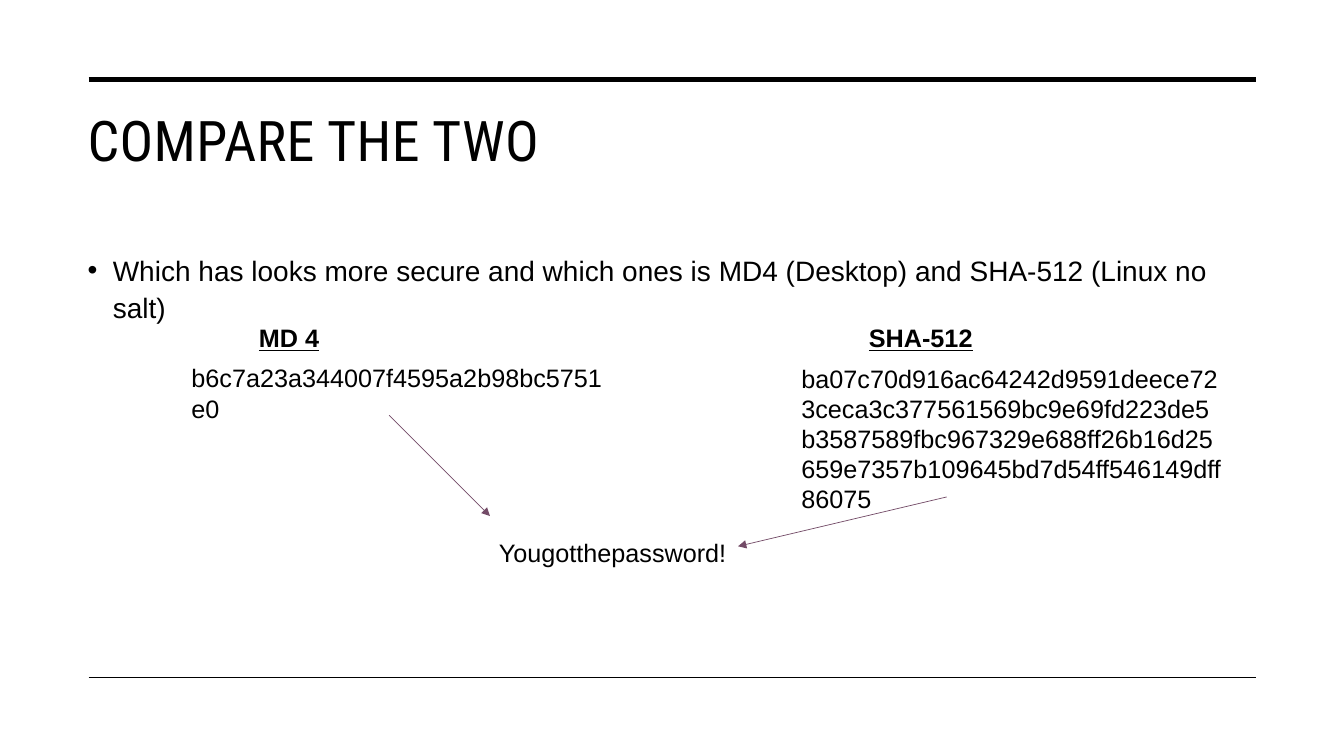
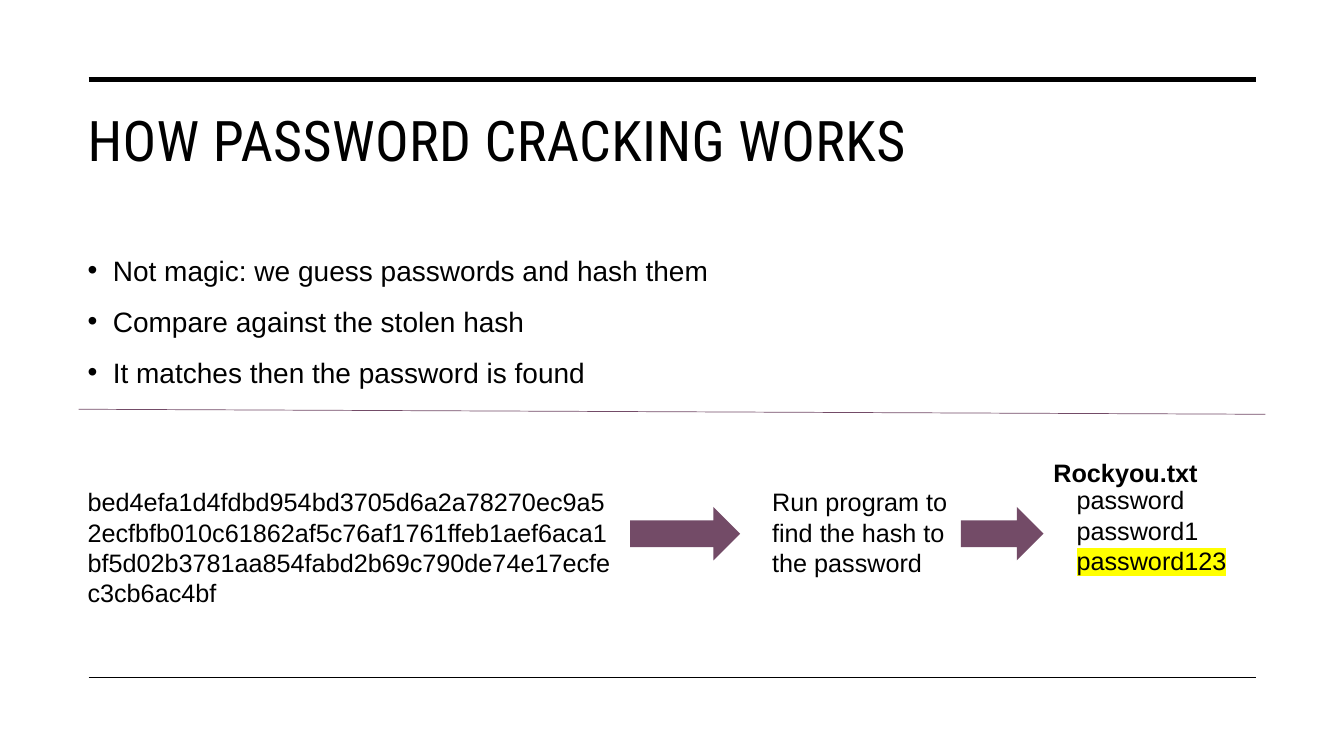
"""Build two slides on password hashes and how they are cracked."""
from collections import namedtuple
from dataclasses import dataclass

from lxml import etree
from pptx import Presentation
from pptx.dml.color import RGBColor
from pptx.enum import shapes, text
from pptx.oxml import ns
from pptx.util import Inches, Pt

Box = namedtuple("Box", "left top width height")


@dataclass(frozen=True)
class Theme:
    """Colours, fonts and type sizes of the deck."""
    ink: str = "000000"
    accent: str = "734B67"
    marker: str = "FFFF00"
    title_font: str = "Roboto Condensed"
    body_font: str = "Arial"
    title_size: int = 40
    bullet_size: int = 20
    text_size: int = 18


THEME = Theme()
TITLE_BOX = Box(0.77, 1, 11.69, 1.43)


def add_child(parent, tag, **attributes):
    """Append a DrawingML element to a parent element."""
    return etree.SubElement(parent, ns.qn(tag), **attributes)


def add_text(page, box, content, size=THEME.text_size, font=THEME.body_font,
             bold=False, underline=False, spacing=None, bullets=False, marked=None):
    """Write each line of content as a paragraph in a text box."""
    frame = page.shapes.add_textbox(*map(Inches, box)).text_frame
    frame.word_wrap = True
    frame.vertical_anchor = text.MSO_ANCHOR.TOP
    for index, line in enumerate(content.split("\n")):
        para = frame.add_paragraph() if index else frame.paragraphs[0]
        if bullets:
            para.line_spacing = 1.1
            if index:
                para.space_before = Pt(10)
            properties = para._p.get_or_add_pPr()
            properties.set("marL", str(Inches(0.25)))
            properties.set("indent", str(Inches(-0.25)))
            add_child(properties, "a:buFont", typeface=THEME.body_font)
            add_child(properties, "a:buChar", char="•")
        span = para.add_run()
        span.text = line
        span.font.size = Pt(size)
        span.font.bold = bold
        span.font.underline = underline
        span.font.color.rgb = RGBColor.from_string(THEME.ink)
        if line == marked:
            highlight = add_child(span.font._element, "a:highlight")
            add_child(highlight, "a:srgbClr", val=THEME.marker)
        if spacing:
            span.font._element.set("spc", str(round(spacing * 100)))
        span.font.name = font


def add_line(page, start, end, color=THEME.accent, weight=0.5, arrow=False):
    """Draw a straight line, with an arrowhead at its end if asked."""
    line = page.shapes.add_connector(
        shapes.MSO_CONNECTOR.STRAIGHT, *map(Inches, (*start, *end)))
    line.line.color.rgb = RGBColor.from_string(color)
    line.line.width = Pt(weight)
    if arrow:
        add_child(line.line._get_or_add_ln(), "a:tailEnd", type="triangle")
    add_child(line._element.spPr, "a:effectLst")


def add_block_arrow(page, box):
    """Place a solid arrow that points right."""
    arrow = page.shapes.add_shape(shapes.MSO_SHAPE.RIGHT_ARROW, *map(Inches, box))
    arrow.shadow.inherit = False
    arrow.fill.solid()
    arrow.fill.fore_color.rgb = RGBColor.from_string(THEME.accent)
    arrow.line.fill.background()


def add_page(deck, title):
    """Add a blank slide with the shared rules and title."""
    page = deck.slides.add_slide(deck.slide_layouts[6])
    for top, weight in ((0.79, 3.5), (6.72, 1)):
        add_line(page, (0.88, top), (12.46, top), THEME.ink, weight)
    add_text(page, TITLE_BOX, title, size=THEME.title_size,
             font=THEME.title_font, spacing=0.3)
    return page


def add_bullets(page, height, content):
    """Write the bullet list directly below the title."""
    box = Box(TITLE_BOX.left, TITLE_BOX.top + TITLE_BOX.height, TITLE_BOX.width, height)
    add_text(page, box, content, size=THEME.bullet_size, bullets=True)


def add_hash(page, box, name, digest):
    """Place an underlined algorithm name above its hash."""
    add_text(page, Box(box.left + 0.67, box.top, 3, 0.4), name, bold=True, underline=True)
    add_text(page, Box(box.left, box.top + 0.4, box.width, box.height - 0.4), digest)


def add_comparison(page, box):
    """Show two hashes that lead to the same password."""
    left, top = box.left, box.top
    add_hash(page, Box(left, top, 4.38, 0.8), "MD 4",
             "b6c7a23a344007f4595a2b98bc5751e0")
    add_hash(page, Box(left + box.width - 4.36, top, 4.36, 1.71), "SHA-512",
             "ba07c70d916ac64242d9591deece723ceca3c377561569bc9e69fd223de5"
             "b3587589fbc967329e688ff26b16d25659e7357b109645bd7d54ff546149dff86075")
    add_line(page, (left + 2.06, top + 0.97), (left + 3.06, top + 1.97), arrow=True)
    add_line(page, (left + 7.59, top + 1.78), (left + 5.52, top + 2.27), arrow=True)
    add_text(page, Box(left + 3.05, top + box.height - 0.4, 3, 0.4), "Yougotthepassword!")


def add_cracking_flow(page, box):
    """Show the steps from stolen hash to word list."""
    left, top = box.left, box.top
    step_top = top + 0.29
    add_text(page, Box(left, step_top, 5.46, 1.01),
             "bed4efa1d4fdbd954bd3705d6a2a78270ec9a52ecfbfb010c61862af5c76af1761ffeb1"
             "aef6aca1bf5d02b3781aa854fabd2b69c790de74e17ecfec3cb6ac4bf")
    add_text(page, Box(left + 6.79, step_top, 1.99, 1.01),
             "Run program to find the hash to the password")
    for offset, width in ((5.48, 1.09), (8.76, 0.82)):
        add_block_arrow(page, Box(left + offset, top + 0.54, width, 0.53))
    list_left = left + 9.58
    add_text(page, Box(list_left, top, 1.96, 0.4), "Rockyou.txt", bold=True)
    add_text(page, Box(list_left + 0.23, top + 0.27, 1.73, 1.01),
             "password\npassword1\npassword123", marked="password123")


def build_compare(deck):
    """Build the slide that compares two hashes."""
    page = add_page(deck, "COMPARE THE TWO")
    add_bullets(page, 0.58, "Which has looks more secure and which ones is MD4 "
                            "(Desktop) and SHA-512 (Linux no salt)")
    add_comparison(page, Box(1.8, 3.15, 10.41, 2.53))


def build_cracking(deck):
    """Build the slide that explains password cracking."""
    page = add_page(deck, "HOW PASSWORD CRACKING WORKS")
    add_bullets(page, 1.57, "Not magic: we guess passwords and hash them\n"
                            "Compare against the stolen hash\n"
                            "It matches then the password is found")
    add_line(page, (0.78, 4.06), (12.55, 4.11))
    add_cracking_flow(page, Box(0.77, 4.49, 11.54, 1.3))


def main():
    """Build and save the deck."""
    deck = Presentation()
    deck.slide_width, deck.slide_height = Inches(13.33), Inches(7.5)
    build_compare(deck)
    build_cracking(deck)
    deck.save("out.pptx")


if __name__ == "__main__":
    main()
